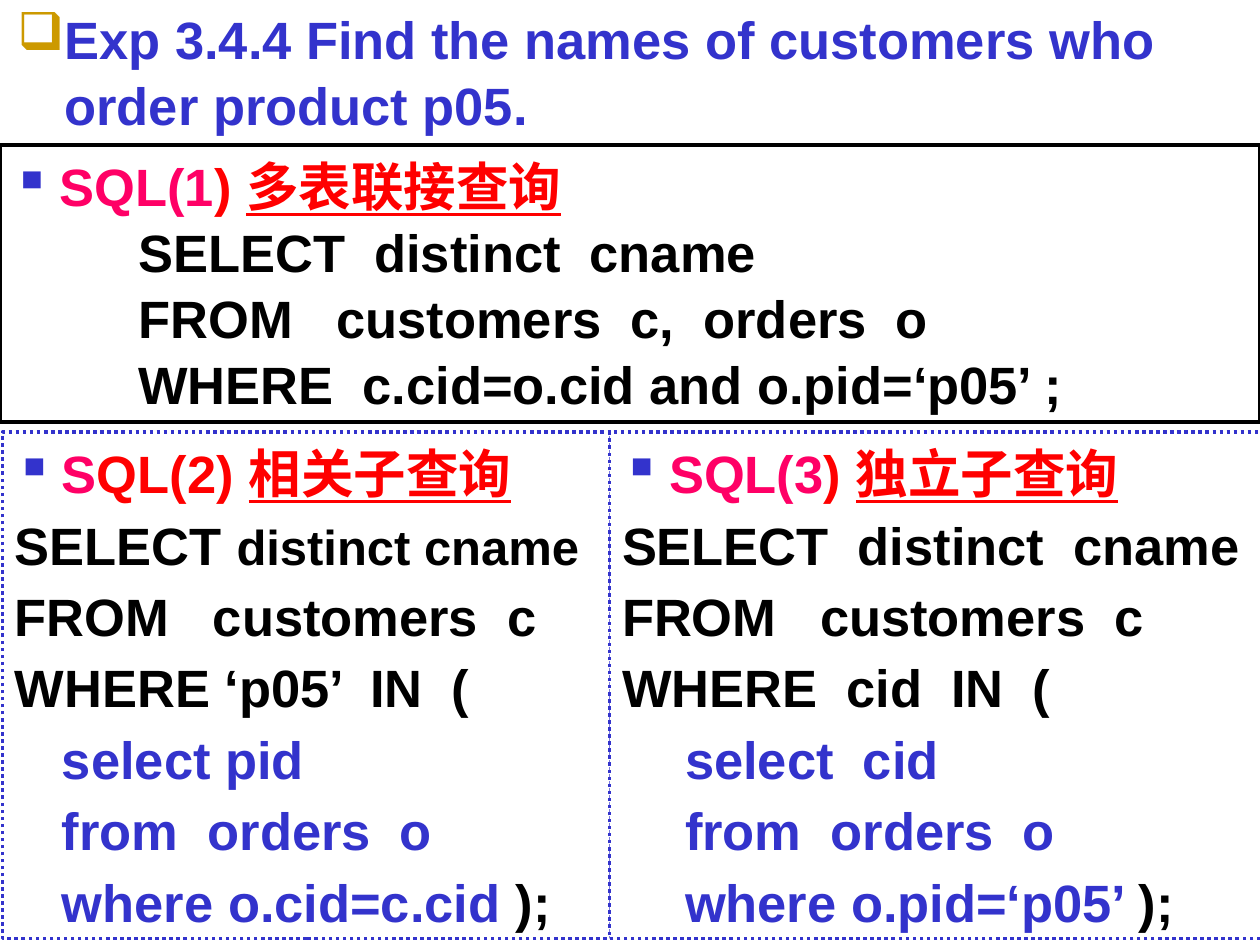
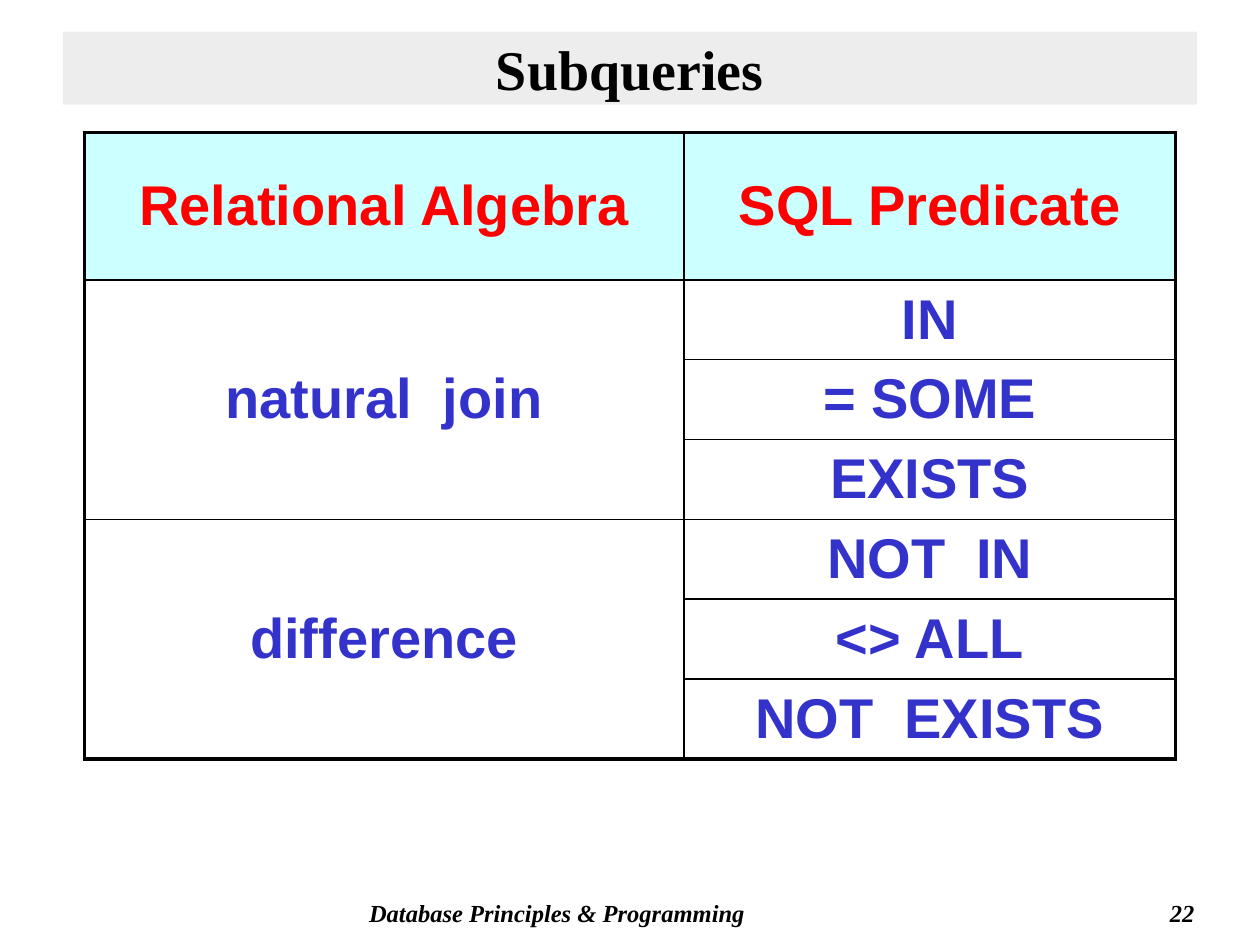
"""Build two slides on SQL subqueries."""
from dataclasses import dataclass
from typing import Optional

from lxml.etree import SubElement as Sub
from pptx import Presentation
from pptx.dml.color import RGBColor as Rgb
from pptx.enum.dml import MSO_LINE as Dash
from pptx.enum.shapes import MSO_SHAPE as Kind
from pptx.enum.text import MSO_ANCHOR as Anchor, PP_ALIGN as Align
from pptx.oxml.ns import qn
from pptx.util import Cm, Pt

HUES = {
    "ink": "000000", "blue": "3333CC", "red": "FF0000", "pink": "FF0066",
    "gold": "CC9900", "aqua": "CCFFFF", "grey": "DDDDDD", "white": "FFFFFF",
}
SANS, SERIF = "Arial", "Times New Roman"
HANG = 0.95


@dataclass
class Run:
    text: str
    hue: str = "ink"
    size: Optional[int] = None
    under: bool = False


@dataclass
class Line:
    runs: list[Run]
    left: float = 0
    mark: str = ""
    tint: str = "blue"


@dataclass
class Panel:
    left: float
    top: float
    width: float
    height: float
    lines: list[Line]
    edge: str = ""
    dash: Optional[Dash] = None
    fill: str = ""
    gap: int = 0


def rgb(hue: str) -> Rgb:
    return Rgb.from_string(HUES[hue])


def style(para, size: int, face: str, hue: str = "", slant: bool = False) -> None:
    font = para.font
    font.size, font.name, font.bold = Pt(size), face, True
    if slant:
        font.italic = True
    if hue:
        font.color.rgb = rgb(hue)


def indent(para, line: Line) -> None:
    props = para._p.get_or_add_pPr()
    props.set("marL", str(Cm(line.left)))
    props.set("indent", str(Cm(-HANG if line.mark else 0)))
    if line.mark:
        tint = Sub(props, qn("a:buClr"))
        Sub(tint, qn("a:srgbClr"), val=HUES[line.tint])
        Sub(props, qn("a:buChar"), char=line.mark)


def write(frame, lines: list[Line], gap: int) -> None:
    for i, line in enumerate(lines):
        para = frame.add_paragraph() if i else frame.paragraphs[0]
        indent(para, line)
        para.alignment = Align.LEFT
        para.line_spacing = 1.05
        para.space_before = Pt(gap if i else 0)
        same = len({run.hue for run in line.runs}) == 1
        style(para, 30, SANS, line.runs[0].hue if same else "")
        for run in line.runs:
            part = para.add_run()
            part.text = run.text
            if not same:
                part.font.color.rgb = rgb(run.hue)
            if run.size:
                part.font.size = Pt(run.size)
            if run.under:
                part.font.underline = True


def draw(slide, panel: Panel) -> None:
    area = map(Cm, (panel.left, panel.top, panel.width, panel.height))
    if panel.edge:
        shape = slide.shapes.add_shape(Kind.RECTANGLE, *area)
        shape.shadow.inherit = False
        shape.line.color.rgb, shape.line.width = rgb(panel.edge), Pt(2)
        if panel.dash:
            shape.line.dash_style = panel.dash
        if panel.fill:
            shape.fill.solid()
            shape.fill.fore_color.rgb = rgb(panel.fill)
        else:
            shape.fill.background()
    else:
        shape = slide.shapes.add_textbox(*area)
    frame = shape.text_frame
    frame.word_wrap, frame.vertical_anchor = True, Anchor.TOP
    write(frame, panel.lines, panel.gap)


def head(pink: str, red: str, topic: str) -> Line:
    runs = [Run(pink, "pink"), Run(red, "red"), Run(topic, "red", under=True)]
    return Line(runs, HANG, "▪")


def code(rows: list[str], left: float = 0, hue: str = "ink") -> list[Line]:
    return [Line([Run(row, hue)], left) for row in rows]


def nest(rows: list[str], left: float) -> list[Line]:
    last = Line([Run(rows[-1], "blue"), Run(");")], left)
    return code(rows[:-1], left, "blue") + [last]


def label(slide, text: str, left: float, width: float, align: Align) -> None:
    box = slide.shapes.add_textbox(Cm(left), Cm(17.98), Cm(width), Cm(0.84))
    box.text_frame.word_wrap = True
    para = box.text_frame.paragraphs[0]
    para.text, para.alignment = text, align
    style(para, 14, SERIF, "ink", True)


def title(slide, text: str) -> None:
    band = slide.shapes.add_shape(
        Kind.RECTANGLE, Cm(1.27), Cm(0.64), Cm(22.86), Cm(1.47))
    band.shadow.inherit = False
    band.line.fill.background()
    band.fill.solid()
    band.fill.fore_color.rgb = rgb("grey")
    tone = band._element.spPr.find(qn("a:solidFill"))[0]
    Sub(tone, qn("a:alpha"), val="50000")
    band.text_frame.vertical_anchor = Anchor.MIDDLE
    para = band.text_frame.paragraphs[0]
    para.text, para.alignment = text, Align.CENTER
    style(para, 32, SERIF, "ink")


def rule(cell, thick: dict[str, bool]) -> None:
    props = cell._tc.get_or_add_tcPr()
    for side, bold in thick.items():
        edge = Sub(props, qn(f"a:ln{side}"), w=str(Pt(2.25 if bold else 1)))
        fill = Sub(edge, qn("a:solidFill"))
        Sub(fill, qn("a:srgbClr"), val=HUES["ink"])


def grid(slide, heads: list[str], groups: dict[str, list[str]]) -> None:
    rows = [tuple(heads)]
    spans = []
    for name, preds in groups.items():
        spans.append((len(rows), len(rows) + len(preds) - 1))
        rows += [(name if not i else "", pred) for i, pred in enumerate(preds)]
    table = slide.shapes.add_table(
        len(rows), 2, Cm(1.7), Cm(2.67), Cm(22), Cm(12.62)).table
    table.horz_banding = table.first_row = False
    table.columns[0].width, table.columns[1].width = Cm(12.09), Cm(9.91)
    for r, row in enumerate(rows):
        table.rows[r].height = Cm(1.61 if r else 2.97)
        for c, text in enumerate(row):
            cell = table.cell(r, c)
            end = r if c else dict(spans).get(r, r)
            rule(cell, {"L": c == 0, "R": c == 1,
                        "T": r == 0, "B": end == len(rows) - 1})
            if r:
                cell.fill.background()
            else:
                cell.fill.solid()
                cell.fill.fore_color.rgb = rgb("aqua")
            cell.vertical_anchor = Anchor.MIDDLE
            if text:
                para = cell.text_frame.paragraphs[0]
                para.text, para.alignment = text, Align.CENTER
                style(para, 32, SANS, "blue" if r else "red")
    for top, end in spans:
        table.cell(top, 0).merge(table.cell(end, 0))


TASK = Line([Run("Exp 3.4.4 Find the names of customers who order product p05.",
                 "blue")], HANG, "❑", "gold")
JOIN = [head("SQL(1", ") ", "多表联接查询")] + code(
    ["SELECT  distinct  cname", "FROM   customers  c,  orders  o",
     "WHERE  c.cid=o.cid and o.pid=‘p05’ ;"], 2.54)
BOUND = [
    head("S", "QL(2) ", "相关子查询"),
    Line([Run("SELECT "), Run("distinct cname", size=28)]),
    *code(["FROM   customers  c", "WHERE ‘p05’  IN  ("]),
    *nest(["select pid", "from  orders  o", "where o.cid=c.cid "], HANG),
]
FREE = [
    head("SQL(3", ") ", "独立子查询"),
    *code(["SELECT  distinct  cname", "FROM   customers  c",
           "WHERE  cid  IN  ("]),
    *nest(["select  cid", "from  orders  o", "where o.pid=‘p05’ "], 1.27),
]
PANELS = [
    Panel(0.1, -0.05, 24.99, 2.95, [TASK]),
    Panel(0, 2.92, 25.4, 5.59, JOIN, "ink"),
    Panel(0.05, 8.71, 12.27, 10.21, BOUND, "blue", Dash.ROUND_DOT, "white", 3),
    Panel(12.29, 8.71, 13.21, 10.21, FREE, "blue", Dash.ROUND_DOT, "white", 3),
]


def main() -> None:
    deck = Presentation()
    deck.slide_width, deck.slide_height = Cm(25.4), Cm(19.05)
    blank = deck.slide_layouts[6]

    query = deck.slides.add_slide(blank)
    for panel in PANELS:
        draw(query, panel)

    chart = deck.slides.add_slide(blank)
    label(chart, "Database Principles & Programming", 7.19, 11, Align.LEFT)
    label(chart, "22", 19.05, 5.28, Align.RIGHT)
    title(chart, "Subqueries")
    grid(chart, ["Relational Algebra", "SQL Predicate"], {
        "natural  join": ["IN", "= SOME", "EXISTS"],
        "difference": ["NOT  IN", "<> ALL", "NOT  EXISTS"],
    })
    deck.save("out.pptx")


if __name__ == "__main__":
    main()
